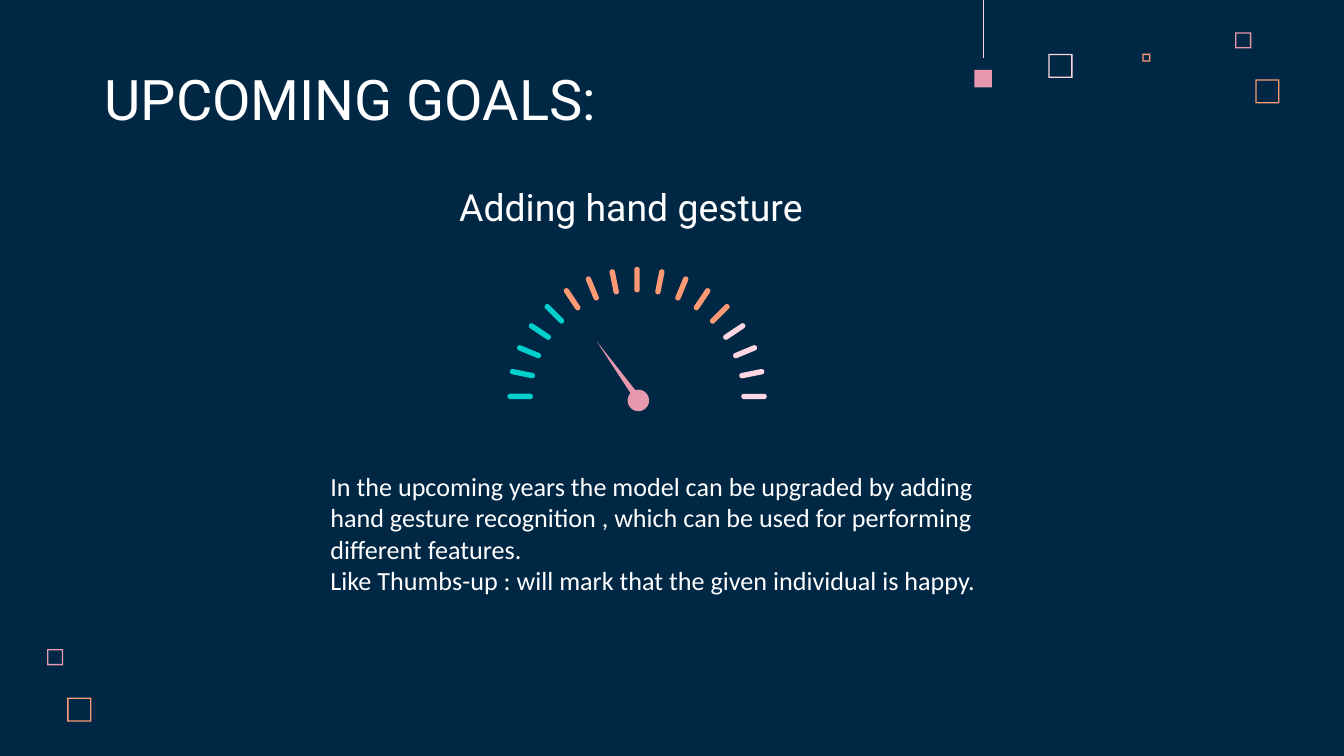
import math

from lxml import etree
from pptx import Presentation, util as u
from pptx.dml.color import RGBColor
from pptx.enum import shapes, text
from pptx.oxml.ns import qn

NAVY = RGBColor(0x00, 0x28, 0x45)
WHITE = RGBColor(0xFF, 0xFF, 0xFF)
BLUSH = RGBColor(0xFF, 0xD6, 0xE1)
ROSE = RGBColor(0xE8, 0x98, 0xAC)
ORANGE = RGBColor(0xFF, 0x99, 0x73)
TEAL = RGBColor(0x00, 0xCF, 0xCC)

WIDTH = 10
HEIGHT = WIDTH * 9 / 16
LEFT, CENTER = text.PP_ALIGN.LEFT, text.PP_ALIGN.CENTER
TOP, BOTTOM = text.MSO_ANCHOR.TOP, text.MSO_ANCHOR.BOTTOM

# box, paragraphs, font, size, alignment, anchor
TEXTS = [
    ((0.68, 0.45, 5.17, 0.63), ["UPCOMING GOALS:"], "Roboto", 30, LEFT, BOTTOM),
    ((3.19, 1.01, 3.08, 0.79), ["Adding hand gesture "], "Roboto", 20, CENTER, BOTTOM),
    ((2.36, 3.4, 5.09, 1.45), [
        "In the upcoming years the model can be upgraded by adding hand gesture "
        "recognition , which can be used for performing different features.",
        "Like Thumbs-up : will mark that the given individual is happy.",
    ], "Calibri", 14, LEFT, TOP),
]

# left, top, side, colour
HOLLOW_SQUARES = [
    (7.8, 0.4, 0.18, BLUSH),
    (8.5, 0.4, 0.06, ORANGE),
    (9.19, 0.24, 0.12, ROSE),
    (9.34, 0.59, 0.18, ORANGE),
    (0.35, 4.83, 0.12, ROSE),
    (0.5, 5.19, 0.18, ORANGE),
]
FRAME_THICKNESS = 0.01
PENDANT = (7.25, 0.52, 0.13)
PENDANT_LINE_END = 0.43

GAUGE_CENTER = (4.74, 2.95)
TICK_RADIUS, TICK_LENGTH, TICK_WIDTH = 0.87, 0.19, 0.04
TICK_COLORS = [TEAL] * 5 + [ORANGE] * 8 + [BLUSH] * 4
HUB = (4.67, 2.9, 0.16)
NEEDLE = [(4.44, 2.54), (4.74, 3), (4.75, 3.01), (4.77, 3), (4.78, 2.97)]


def paint(shape, color):
    shape.shadow.inherit = False
    shape.fill.solid()
    shape.fill.fore_color.rgb = color
    shape.line.fill.background()


def add_filled(slide, kind, left, top, width, height, color):
    shape = slide.shapes.add_shape(
        kind, u.Inches(left), u.Inches(top), u.Inches(width), u.Inches(height))
    paint(shape, color)
    return shape


def add_text(slide, box, lines, font, size, alignment, anchor):
    frame = slide.shapes.add_textbox(*map(u.Inches, box)).text_frame
    frame.word_wrap = True
    frame.vertical_anchor = anchor
    frame.margin_left = frame.margin_right = u.Inches(0.1)
    frame.margin_top = frame.margin_bottom = u.Inches(0.1)
    frame.text = "\n".join(lines)
    for paragraph in frame.paragraphs:
        paragraph.alignment = alignment
        paragraph.font.name = font
        paragraph.font.size = u.Pt(size)
        paragraph.font.color.rgb = WHITE


def add_decorations(slide):
    for left, top, side, color in HOLLOW_SQUARES:
        square = add_filled(slide, shapes.MSO_SHAPE.FRAME, left, top, side, side, color)
        square.adjustments[0] = FRAME_THICKNESS / side
    left, top, side = PENDANT
    add_filled(slide, shapes.MSO_SHAPE.RECTANGLE, left, top, side, side, ROSE)
    x = u.Inches(left + side / 2)
    line = slide.shapes.add_connector(
        shapes.MSO_CONNECTOR.STRAIGHT, x, 0, x, u.Inches(PENDANT_LINE_END))
    line.line.color.rgb = BLUSH
    line.line.width = u.Pt(0.5)
    etree.SubElement(line._element.spPr, qn("a:effectLst"))


def add_gauge(slide):
    step = 180 / (len(TICK_COLORS) - 1)
    for index, color in enumerate(TICK_COLORS):
        angle = index * step
        x = GAUGE_CENTER[0] - TICK_RADIUS * math.cos(math.radians(angle))
        y = GAUGE_CENTER[1] - TICK_RADIUS * math.sin(math.radians(angle))
        tick = add_filled(
            slide, shapes.MSO_SHAPE.ROUNDED_RECTANGLE,
            x - TICK_LENGTH / 2, y - TICK_WIDTH / 2, TICK_LENGTH, TICK_WIDTH, color)
        tick.adjustments[0] = 0.5
        tick.rotation = angle
    left, top, diameter = HUB
    add_filled(slide, shapes.MSO_SHAPE.OVAL, left, top, diameter, diameter, ROSE)
    points = [(u.Inches(x), u.Inches(y)) for x, y in NEEDLE]
    builder = slide.shapes.build_freeform(*points[0])
    builder.add_line_segments(points[1:], close=True)
    paint(builder.convert_to_shape(), ROSE)


def main():
    presentation = Presentation()
    presentation.slide_width = u.Inches(WIDTH)
    presentation.slide_height = u.Inches(HEIGHT)
    slide = presentation.slides.add_slide(presentation.slide_layouts[6])
    slide.background.fill.solid()
    slide.background.fill.fore_color.rgb = NAVY
    add_decorations(slide)
    for item in TEXTS:
        add_text(slide, *item)
    add_gauge(slide)
    presentation.save("out.pptx")


if __name__ == "__main__":
    main()
